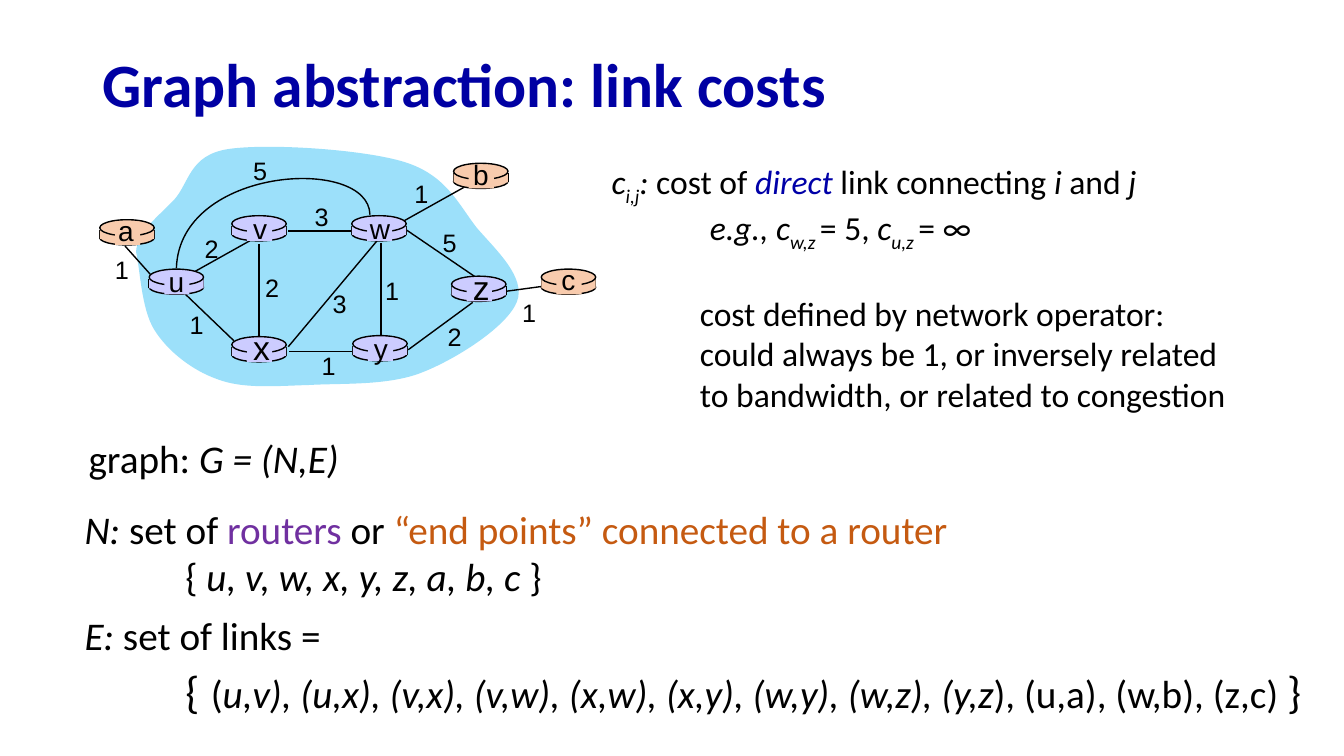
from lxml import etree
from pptx import Presentation
from pptx import util as u
from pptx.dml.color import RGBColor
from pptx.enum import shapes, text
from pptx.oxml import ns

BLACK, BLUE, PURPLE, ORANGE = "000000", "0000A3", "7030A0", "C55A11"
ROUTER, END_POINT, CLOUD = "CCCCFF", "F8CBAD", "9CE0FA"

presentation = Presentation()
presentation.slide_height = u.Inches(7.5)
presentation.slide_width = presentation.slide_height * 16 // 9
slide = presentation.slides.add_slide(presentation.slide_layouts[6])
cell = presentation.slide_height / 75


def grid(*counts):
    return [round(cell * count) for count in counts]


def add_run(paragraph, content, size, name="Calibri", colour=BLACK, style=""):
    run = paragraph.add_run()
    run.text = content
    run.font.size = u.Pt(size)
    run.font.name = name
    run.font.bold = "b" in style
    run.font.italic = "i" in style
    run.font.color.rgb = RGBColor.from_string(colour)
    if "s" in style:
        run.font._element.set("baseline", "-25000")


cloud = [
    (13.5, 25),
    (13.6, 23), (15.8, 21.4), (17.3, 19.8), (18.8, 18.1), (18.8, 15.4), (22.6, 14.8),
    (26.4, 14.2), (36.1, 14.8), (40.2, 16.1), (44.3, 17.4), (45.5, 20.3), (47.3, 22.6),
    (49.2, 24.8), (52.2, 27.5), (51.3, 29.9), (50.4, 32.3), (45.5, 35.5), (42, 36.9),
    (38.6, 38.3), (34, 38), (30.6, 38.2), (27.2, 38.3), (24.1, 38.6), (21.5, 37.6),
    (19, 36.7), (16.6, 34.8), (15.3, 32.7), (14, 30.6), (13.9, 26.6), (13.5, 25),
]
link_u_w = [(36.7, 21.3), (36.6, 15.4), (17.8, 16.5), (17.5, 26.6)]
for controls, closed in ((cloud, True), (link_u_w, False)):
    builder = slide.shapes.build_freeform(*grid(*controls[0]))
    builder.add_line_segments([grid(*control) for control in controls[1:]], close=closed)
    curve = builder.convert_to_shape()
    segments = list(curve._element.iter(ns.qn("a:lnTo")))
    for first in range(0, len(controls) - 1, 3):
        bezier = etree.Element(ns.qn("a:cubicBezTo"))
        segments[first].addprevious(bezier)
        for segment in segments[first:first + 3]:
            bezier.append(segment[0])
            segment.getparent().remove(segment)
    curve.shadow.inherit = False
    if closed:
        curve.fill.solid()
        curve.fill.fore_color.rgb = RGBColor.from_string(CLOUD)
        curve.line.fill.background()
    else:
        curve.fill.background()
        curve.line.color.rgb = RGBColor.from_string(BLACK)
        curve.line.width = u.Pt(1)

nodes = [
    (14.8, 26.7, ROUTER), (23, 33.4, ROUTER), (23, 21.4, ROUTER),
    (34.9, 21.4, ROUTER), (35, 33.3, ROUTER), (44.8, 27.4, ROUTER),
    (9.9, 21.8, END_POINT), (53.7, 26.7, END_POINT), (45, 16.2, END_POINT),
]
links = [
    (19.4, 26.9, 25.3, 23.6), (37.8, 24.1, 37.8, 33.2), (25.7, 24.2, 25.7, 33.5),
    (28.6, 34.4, 37.4, 23.9), (40.5, 34.7, 46.9, 30), (35.1, 34.9, 28.7, 34.9),
    (23.2, 33.8, 18.4, 29.2), (35, 22.9, 28.6, 22.9), (47.2, 27.5, 40.3, 22.8),
    (46, 18.6, 40.1, 21.9), (53.9, 28.4, 50.2, 28.9), (12.4, 24.4, 14.9, 27.2),
]
router_width = 5.4
sides = [
    (left + shift, top + 1, left + shift, top + 1.9)
    for left, top, _ in nodes for shift in (0, router_width)
]
for ends in links + sides:
    line = slide.shapes.add_connector(shapes.MSO_CONNECTOR.STRAIGHT, *grid(*ends))
    line.line.color.rgb = RGBColor.from_string(BLACK)
    line.line.width = u.Pt(1)
    etree.SubElement(line._element.spPr, ns.qn("a:effectLst"))

OVAL, RECTANGLE = shapes.MSO_SHAPE.OVAL, shapes.MSO_SHAPE.RECTANGLE
router_parts = [
    (OVAL, 0, 1.1, router_width, 1.4), (RECTANGLE, 0, 1, router_width, 0.9),
    (OVAL, 0, 0, router_width, 1.6), (RECTANGLE, 1.5, 0.2, 2.5, 2.3),
]
for left, top, fill in nodes:
    for kind, right, down, width, height in router_parts:
        part = slide.shapes.add_shape(kind, *grid(left + right, top + down, width, height))
        part.shadow.inherit = False
        part.fill.solid()
        part.fill.fore_color.rgb = RGBColor.from_string(fill)
        if kind == OVAL:
            part.line.color.rgb = RGBColor.from_string(BLACK)
            part.line.width = u.Pt(1)
        else:
            part.line.fill.background()

names = [
    ("u", 15.7, 25.8, 3.6, 4.3, 20), ("y", 36.1, 32.4, 3.4, 4.3, 20),
    ("x", 24.1, 31.9, 3.7, 5, 24), ("w", 35.7, 20.5, 4, 4.3, 20),
    ("v", 24.1, 20.5, 3.4, 4.3, 20), ("z", 45.9, 26, 3.7, 5, 24),
    ("a", 10.7, 20.7, 3.6, 4.4, 20), ("c", 54.7, 25.6, 3.4, 4.4, 20),
    ("b", 45.9, 15.1, 3.6, 4.4, 20),
]
costs = [
    ("2", 19.3, 22.7), ("2", 25.3, 26.5), ("1", 17.8, 30.2), ("3", 32, 28.1),
    ("1", 30.9, 34.3), ("1", 37.2, 26.8), ("2", 43.4, 31.4), ("5", 42.9, 22.1),
    ("3", 30.2, 19.5), ("5", 24.1, 14.9), ("1", 10.4, 24.7), ("1", 40.1, 17.2),
    ("1", 50.8, 29),
]
for content, left, top, width, height, size in names + [(*cost, 3.4, 4, 18) for cost in costs]:
    label = slide.shapes.add_textbox(*grid(left, top, width, height))
    label.text_frame.word_wrap = False
    label.text_frame.paragraphs[0].alignment = text.PP_ALIGN.CENTER
    add_run(label.text_frame.paragraphs[0], content, size, "Arial")

title = slide.shapes.add_textbox(*grid(9.2, 3.8, 75, 9.8))
title.text_frame.word_wrap = True
title.text_frame.vertical_anchor = text.MSO_ANCHOR.MIDDLE
title.text_frame.paragraphs[0].line_spacing = 0.9
add_run(title.text_frame.paragraphs[0], "Graph abstraction: link costs", 44, colour=BLUE, style="b")

statements = [
    ((7.8, 42.6, 27.1, 10.4), [
        (0, 0, [("graph: ", 28, BLACK, ""), ("G = (N,E)", 28, BLACK, "i")]),
    ]),
    ((59.7, 15.5, 64.4, 25.2), [
        (0, 0, [("c", 24, BLACK, "i"), ("i,j", 24, BLACK, "is"), (": ", 24, BLACK, "i"),
                ("cost of ", 24, BLACK, ""), ("direct", 24, "0000A8", "i"),
                (" link connecting ", 24, BLACK, ""), ("i", 24, BLACK, "i"),
                (" and ", 24, BLACK, ""), ("j", 24, BLACK, "i")]),
        (9.75, 0, [("e.g., c", 24, BLACK, "i"), ("w,z ", 24, BLACK, "is"), ("= 5, ", 24, BLACK, ""),
                   ("c", 24, BLACK, "i"), ("u,z ", 24, BLACK, "is"), ("= ∞", 24, BLACK, "")]),
        (8.75, 28.5, [("cost defined by network operator: could always be 1, or inversely related "
                       "to bandwidth, or related to congestion", 24, BLACK, "")]),
    ]),
    ((7.4, 49.6, 89.5, 10.4), [
        (0, 0, [("N: ", 28, BLACK, "i"), ("set of ", 28, BLACK, ""), ("routers", 28, PURPLE, ""),
                (" or ", 28, BLACK, ""), ("“end points” connected to a router", 28, ORANGE, "")]),
        (10, 0, [("{ ", 28, BLACK, ""), ("u, v, w, x, y, z, a, b, c ", 28, BLACK, "i"),
                 ("}", 28, BLACK, "")]),
    ]),
    ((7.4, 60.15, 124.2, 11.8), [
        (0, 0, [("E: ", 28, BLACK, "i"), ("set of links =", 28, BLACK, "")]),
        (10, 0, [("{", 32, BLACK, ""), (" ", 36, BLACK, ""), ("(", 28, BLACK, ""),
                 ("u,v), (u,x), (v,x), (v,w), (x,w), (x,y), (w,y), (w,z), (y,z", 28, BLACK, "i"),
                 ("), (u,a), (w,b), (z,c) ", 28, BLACK, ""), ("}", 32, BLACK, "")]),
    ]),
]
for place, paragraphs in statements:
    frame = slide.shapes.add_textbox(*grid(*place)).text_frame
    frame.word_wrap = True
    for number, (indent, space, runs) in enumerate(paragraphs):
        paragraph = frame.add_paragraph() if number else frame.paragraphs[0]
        paragraph.space_before = u.Pt(space)
        paragraph._p.get_or_add_pPr().set("marL", str(grid(indent)[0]))
        for content, size, colour, style in runs:
            add_run(paragraph, content, size, colour=colour, style=style)

presentation.save("out.pptx")
